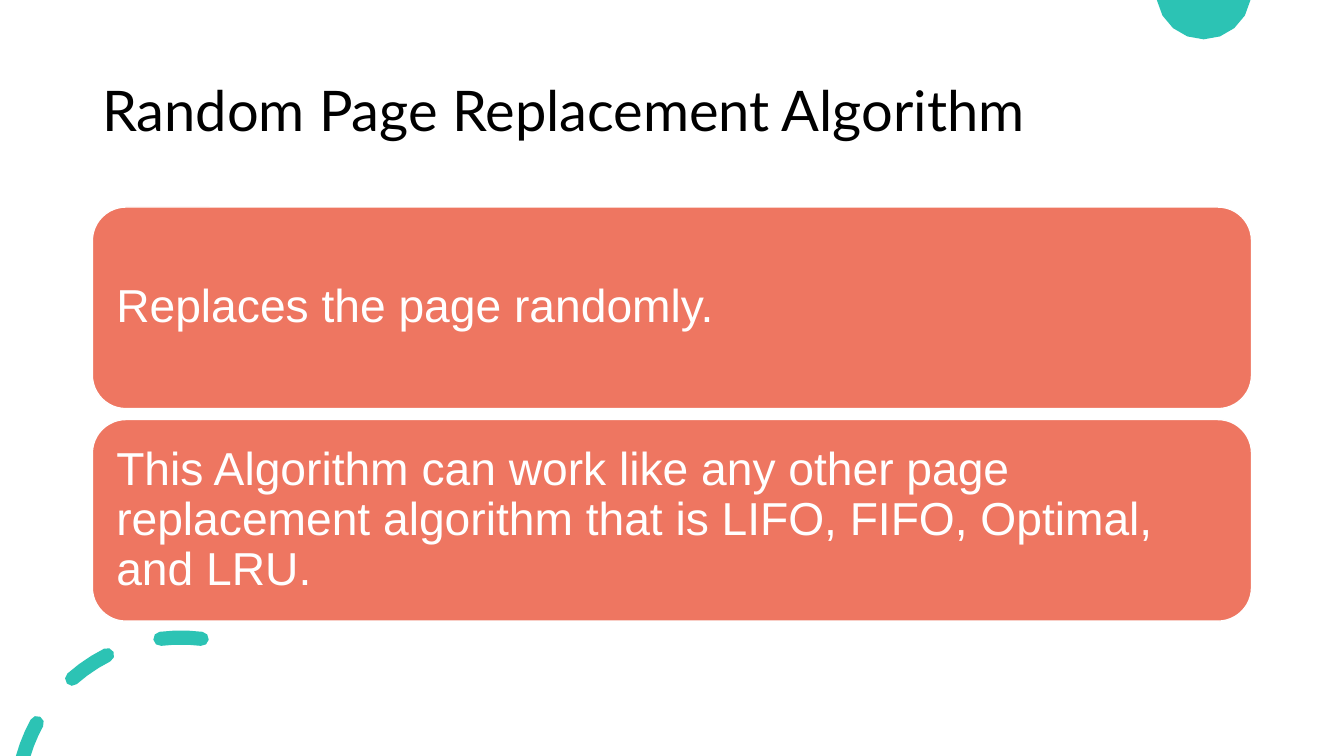
"""Build the Random Page Replacement Algorithm slide."""
from math import acos, cos, pi, sin

from pptx import Presentation
from pptx.dml.color import RGBColor
from pptx.enum.shapes import MSO_SHAPE as Shape
from pptx.enum.text import MSO_ANCHOR as Anchor, PP_ALIGN as Align
from pptx.util import Pt

TITLE = "Random Page Replacement Algorithm"
POINTS = [
    "Replaces the page randomly.",
    "This Algorithm can work like any other page replacement algorithm "
    "that is LIFO, FIFO, Optimal, and LRU.",
]

TEAL = RGBColor(0x2C, 0xC3, 0xB4)
CORAL = RGBColor(0xEE, 0x76, 0x61)
WHITE = RGBColor(0xFF, 0xFF, 0xFF)
BLACK = RGBColor(0, 0, 0)

SLIDE_WIDTH, SLIDE_HEIGHT = 960, 540
LEFT, WIDTH = 66, 828
TITLE_TOP, TITLE_HEIGHT = 28.8, 104.4
CARD_TOP, CARD_HEIGHT, CARD_STEP = 147.9, 144, 151.8
CARD_INSET = 10.1

DISC_CENTER, DISC_RADIUS, DISC_STEPS = (859.8, -5.9), 34, 10
RING_CENTER, RING_RADIUS, DASH_HALF_WIDTH = (129.3, 572.8), 117.4, 5.05
DASH_ANGLES = [(-0.126, 0.126), (0.466, 0.724), (1.07, pi / 2)]
EDGE_STEPS, CAP_STEPS = 3, 4


def arc(center, radius, start, end, steps):
    """Return points on a circle, with angles measured leftwards from the top."""
    angles = [start + (end - start) * step / steps for step in range(steps + 1)]
    return [(center[0] - radius * sin(a), center[1] - radius * cos(a)) for a in angles]


def dash_cap(angle, turn):
    """Return the half circle that rounds a dash at the given ring angle."""
    center = arc(RING_CENTER, RING_RADIUS, angle, angle, 1)[0]
    return arc(center, DASH_HALF_WIDTH, angle + turn, angle + turn + pi, CAP_STEPS)[1:-1]


def dash_outline(start, end):
    """Return a round-capped ring dash, cut off at the foot of the slide."""
    inner, outer = RING_RADIUS - DASH_HALF_WIDTH, RING_RADIUS + DASH_HALF_WIDTH
    drop = RING_CENTER[1] - SLIDE_HEIGHT
    outer_end, inner_end = (min(end, acos(drop / radius)) for radius in (outer, inner))
    outline = arc(RING_CENTER, outer, start, outer_end, EDGE_STEPS)
    if outer_end == end:
        outline += dash_cap(end, 0)
    outline += arc(RING_CENTER, inner, inner_end, start, EDGE_STEPS)
    return outline + dash_cap(start, pi)


def add_outlines(slide, outlines):
    """Draw closed outlines as one teal shape."""
    contours = [[(Pt(x), Pt(y)) for x, y in outline] for outline in outlines]
    builder = slide.shapes.build_freeform(*contours[0][0], scale=1.0)
    for index, contour in enumerate(contours):
        if index:
            builder.move_to(*contour[0])
        builder.add_line_segments(contour[1:], close=True)
    shape = builder.convert_to_shape()
    shape.shadow.inherit = False
    shape.fill.solid()
    shape.fill.fore_color.rgb = TEAL
    shape.line.fill.background()


def set_text(shape, text, font_name, size, color):
    """Write one left-aligned, vertically centred paragraph."""
    frame = shape.text_frame
    frame.word_wrap = True
    frame.vertical_anchor = Anchor.MIDDLE
    paragraph = frame.paragraphs[0]
    paragraph.text = text
    paragraph.alignment = Align.LEFT
    paragraph.line_spacing = 0.9
    paragraph.font.name = font_name
    paragraph.font.size = Pt(size)
    paragraph.font.color.rgb = color


def add_card(slide, top, text):
    """Add one rounded coral card."""
    card = slide.shapes.add_shape(
        Shape.ROUNDED_RECTANGLE, Pt(LEFT), Pt(top), Pt(WIDTH), Pt(CARD_HEIGHT))
    card.shadow.inherit = False
    card.fill.solid()
    card.fill.fore_color.rgb = CORAL
    card.line.color.rgb = WHITE
    card.line.width = Pt(1)
    frame = card.text_frame
    frame.margin_left = frame.margin_right = Pt(CARD_INSET)
    frame.margin_top = frame.margin_bottom = Pt(CARD_INSET)
    set_text(card, text, "Arial", 33, WHITE)


def main():
    """Assemble and save the slide."""
    presentation = Presentation()
    presentation.slide_width, presentation.slide_height = Pt(SLIDE_WIDTH), Pt(SLIDE_HEIGHT)
    slide = presentation.slides.add_slide(presentation.slide_layouts[6])

    cut = acos(DISC_CENTER[1] / DISC_RADIUS)
    add_outlines(slide, [arc(DISC_CENTER, DISC_RADIUS, 2 * pi - cut, cut, DISC_STEPS)]
                 if cut < pi / 2 else
                 [arc(DISC_CENTER, DISC_RADIUS, pi - cut, pi + cut, DISC_STEPS)])
    add_outlines(slide, [dash_outline(*angles) for angles in DASH_ANGLES])

    title = slide.shapes.add_textbox(
        Pt(LEFT), Pt(TITLE_TOP), Pt(WIDTH), Pt(TITLE_HEIGHT))
    set_text(title, TITLE, "Lato", 40, BLACK)
    for index, text in enumerate(POINTS):
        add_card(slide, CARD_TOP + index * CARD_STEP, text)
    presentation.save("out.pptx")


if __name__ == "__main__":
    main()
